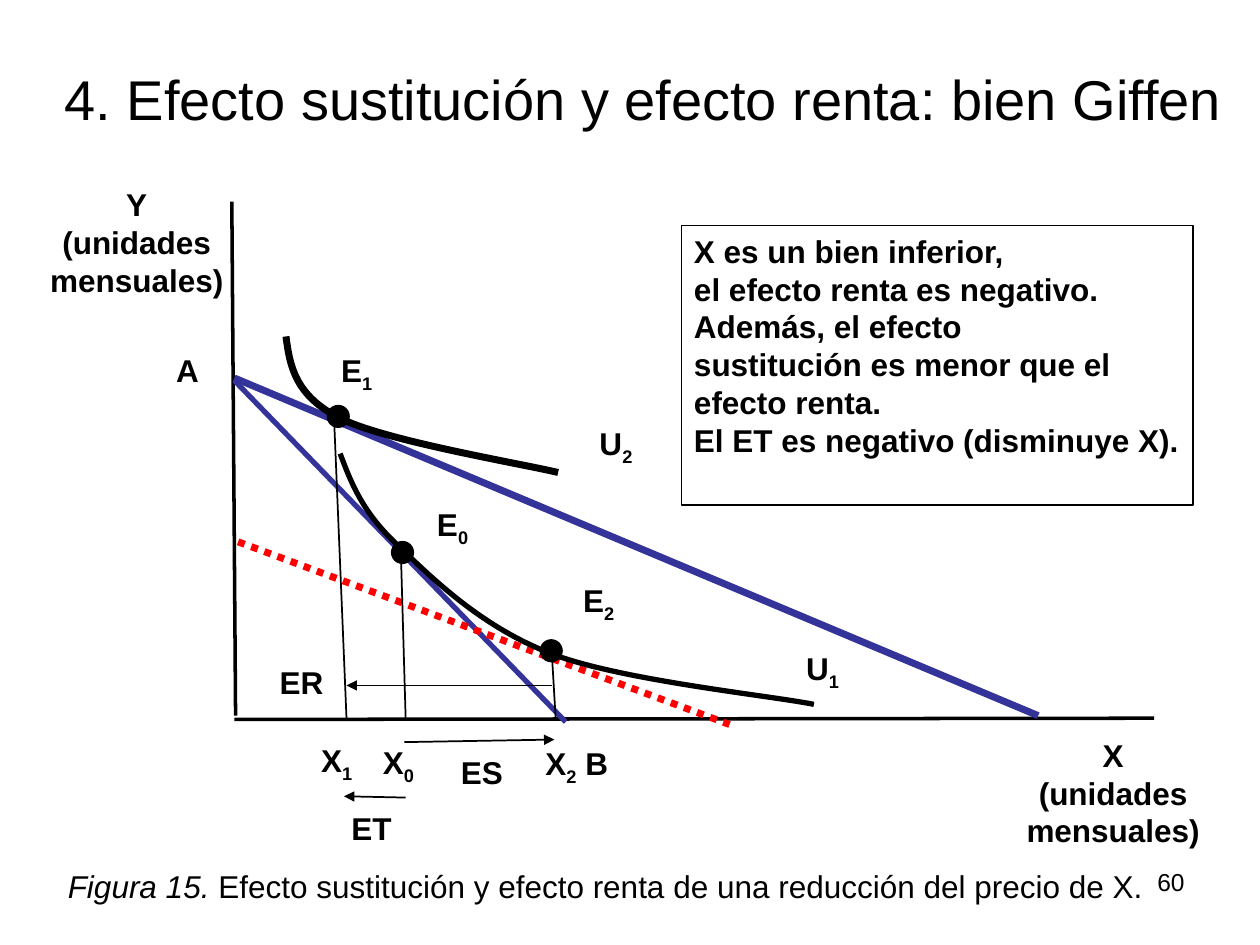
from lxml import etree
from pptx import Presentation
from pptx.dml.color import RGBColor
from pptx.enum.dml import MSO_LINE
from pptx.enum.shapes import MSO_CONNECTOR, MSO_SHAPE
from pptx.enum.text import MSO_ANCHOR, MSO_AUTO_SIZE, PP_ALIGN
from pptx.oxml.ns import qn
from pptx.util import Pt

PX = 9144  # 100 px to the inch
STRAIGHT = MSO_CONNECTOR.STRAIGHT
OVAL, RECTANGLE = MSO_SHAPE.OVAL, MSO_SHAPE.RECTANGLE
DOTTED = MSO_LINE.ROUND_DOT
LEFT, CENTER, RIGHT = PP_ALIGN.LEFT, PP_ALIGN.CENTER, PP_ALIGN.RIGHT
TOP, MIDDLE = MSO_ANCHOR.TOP, MSO_ANCHOR.MIDDLE
FIT_TEXT = MSO_AUTO_SIZE.SHAPE_TO_FIT_TEXT

HEX = {"black": "000000", "white": "FFFFFF", "budget": "333399", "red": "FF0000"}
COLOR = {name: RGBColor.from_string(value) for name, value in HEX.items()}
BOLD = {"bold": True}
ITALIC = {"italic": True}

deck = Presentation()
deck.slide_width, deck.slide_height = 1000 * PX, 750 * PX
page = deck.slides.add_slide(deck.slide_layouts[6])
shapes = page.shapes


def write_text(box, paragraphs, size=18, align=LEFT, anchor=TOP, wrap=True):
    """Fill a box with paragraphs, each a list of (text, font values, is subscript)."""
    frame = box.text_frame
    frame.word_wrap = wrap
    frame.vertical_anchor = anchor
    for number, spans in enumerate(paragraphs):
        para = frame.add_paragraph() if number else frame.paragraphs[0]
        para.alignment = align
        for text, values, subscript in spans:
            span = para.add_run()
            span.text = text
            span.font.color.rgb = COLOR["black"]
            for key, value in {"name": "Arial", "size": Pt(size), **values}.items():
                setattr(span.font, key, value)
            if subscript:
                span.font._element.set("baseline", "-25000")


def add_line(x1, y1, x2, y2, color="black", width=1, dash=None, arrow=False):
    line = shapes.add_connector(STRAIGHT, x1 * PX, y1 * PX, x2 * PX, y2 * PX)
    line.line.color.rgb = COLOR[color]
    line.line.width = Pt(width)
    if dash:
        line.line.dash_style = dash
    if arrow:
        etree.SubElement(line.line._get_or_add_ln(), qn("a:tailEnd"), type="triangle")
    etree.SubElement(line._element.spPr, qn("a:effectLst"))


# Title
title = shapes.add_textbox(22 * PX, 30 * PX, 978 * PX, 95 * PX)
write_text(title, [[("4. Efecto sustitución y efecto renta: bien Giffen", {}, False)]],
           size=32, align=CENTER, anchor=MIDDLE)

# Axes and budget lines
add_line(184, 160, 187, 568, width=2)
add_line(186, 571, 916, 570, width=2)
add_line(186, 302, 449, 573, "budget", 3)
add_line(186, 300, 824, 568, "budget", 4)
add_line(189, 430, 579, 575, "red", 4, DOTTED)

# Indifference curves: a start, then three control points for each cubic segment
curves = [
    (3, [(270, 360), (279, 384), (288, 407), (316, 433), (344, 460), (383, 498),
         (438, 519), (493, 540), (611, 552), (646, 559)]),
    (4, [(227, 267), (230, 290), (234, 314), (270, 332), (306, 350), (414, 368),
         (443, 375)]),
]
for width, points in curves:
    builder = shapes.build_freeform(*points[0], scale=PX)
    builder.add_line_segments(points[1:], close=False)
    curve = builder.convert_to_shape()
    curve.shadow.inherit = False
    curve.fill.background()
    curve.line.color.rgb = COLOR["black"]
    curve.line.width = Pt(width)
    outline = next(curve._element.iter(qn("a:path")))
    segments = outline.findall(qn("a:lnTo"))
    for start in range(0, len(segments), 3):
        cubic = etree.SubElement(outline, qn("a:cubicBezTo"))
        for segment in segments[start:start + 3]:
            cubic.append(segment[0])
            outline.remove(segment)

# Drop lines from the equilibrium points, then the points
for drop in [(265, 329, 275, 570), (318, 433, 322, 571), (438, 519, 441, 570)]:
    add_line(*drop)
for left, top in [(429, 508), (311, 430), (260, 322)]:
    dot = shapes.add_shape(OVAL, left * PX, top * PX, 17 * PX, 17 * PX)
    dot.shadow.inherit = False
    dot.fill.solid()
    dot.fill.fore_color.rgb = COLOR["black"]
    dot.line.color.rgb = COLOR["black"]
    dot.line.width = Pt(1)

# Effect arrows: substitution, income, total
for arrow in [(321, 589, 440, 587), (438, 544, 275, 544), (322, 633, 273, 632)]:
    add_line(*arrow, arrow=True)

# Axis names
axis_names = [
    (29, 142, 159, False, ["Y", "(unidades", "mensuales)"]),
    (767, 579, 233, True, ["X", "(unidades mensuales)"]),
]
for left, top, width, wrap, lines in axis_names:
    name = shapes.add_textbox(left * PX, top * PX, width * PX, 101 * PX)
    write_text(name, [[(text, BOLD, False)] for text in lines], align=CENTER, wrap=wrap)

# Point, curve and effect labels: letter, subscript, rest
labels = [
    (245, 583, 46, "X", "1", ""),
    (294, 585, 46, "X", "0", ""),
    (423, 586, 71, "X", "2", " B"),
    (130, 274, 46, "A", "", ""),
    (261, 274, 46, "E", "1", ""),
    (337, 396, 46, "E", "0", ""),
    (453, 456, 46, "E", "2", ""),
    (630, 510, 57, "U", "1", ""),
    (466, 332, 57, "U", "2", ""),
    (356, 593, 55, "ES", "", ""),
    (212, 521, 55, "ER", "", ""),
    (269, 637, 52, "ET", "", ""),
]
for left, top, width, letter, index, rest in labels:
    label = shapes.add_textbox(left * PX, top * PX, width * PX, 40 * PX)
    label.text_frame.auto_size = FIT_TEXT
    parts = [(letter, BOLD, False), (index, BOLD, True), (rest, BOLD, False)]
    write_text(label, [[part for part in parts if part[0]]], wrap=len(letter) == 1)

# Explanation
note = shapes.add_shape(RECTANGLE, 541 * PX, 179 * PX, 406 * PX, 222 * PX)
note.shadow.inherit = False
note.fill.solid()
note.fill.fore_color.rgb = COLOR["white"]
note.line.color.rgb = COLOR["black"]
note.line.width = Pt(1)
note_lines = [
    "X es un bien inferior,",
    "el efecto renta es negativo.",
    "Además, el efecto",
    "sustitución es menor que el",
    "efecto renta.",
    "El ET es negativo (disminuye X).",
]
write_text(note, [[(text, BOLD, False)] for text in note_lines], wrap=False)

# Caption and page number
caption = shapes.add_textbox(44 * PX, 683 * PX, 886 * PX, 52 * PX)
write_text(caption, [[
    ("Figura 15. ", ITALIC, False),
    ("Efecto sustitución y efecto renta de una reducción del precio de X.", {}, False),
]])
number_box = shapes.add_textbox(717 * PX, 683 * PX, 233 * PX, 52 * PX)
write_text(number_box, [[("60", {}, False)]], size=14, align=RIGHT)

deck.save("out.pptx")
